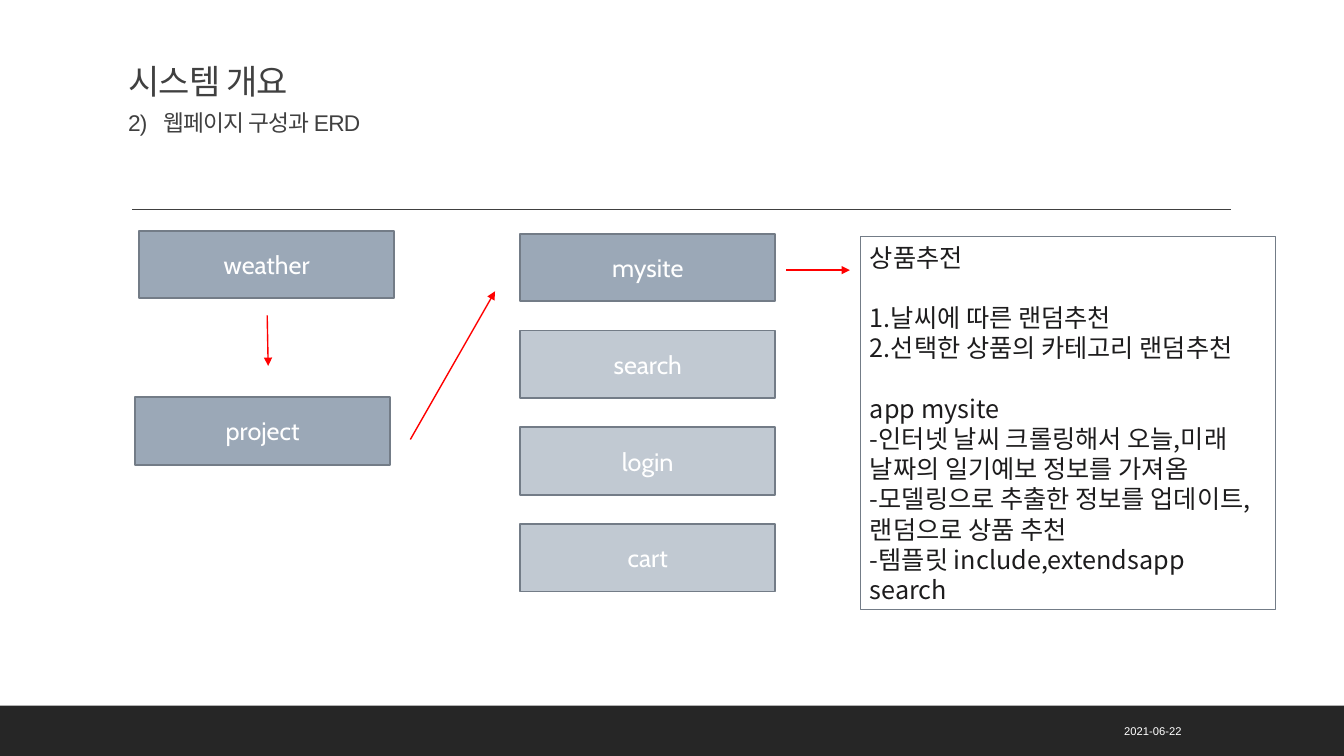
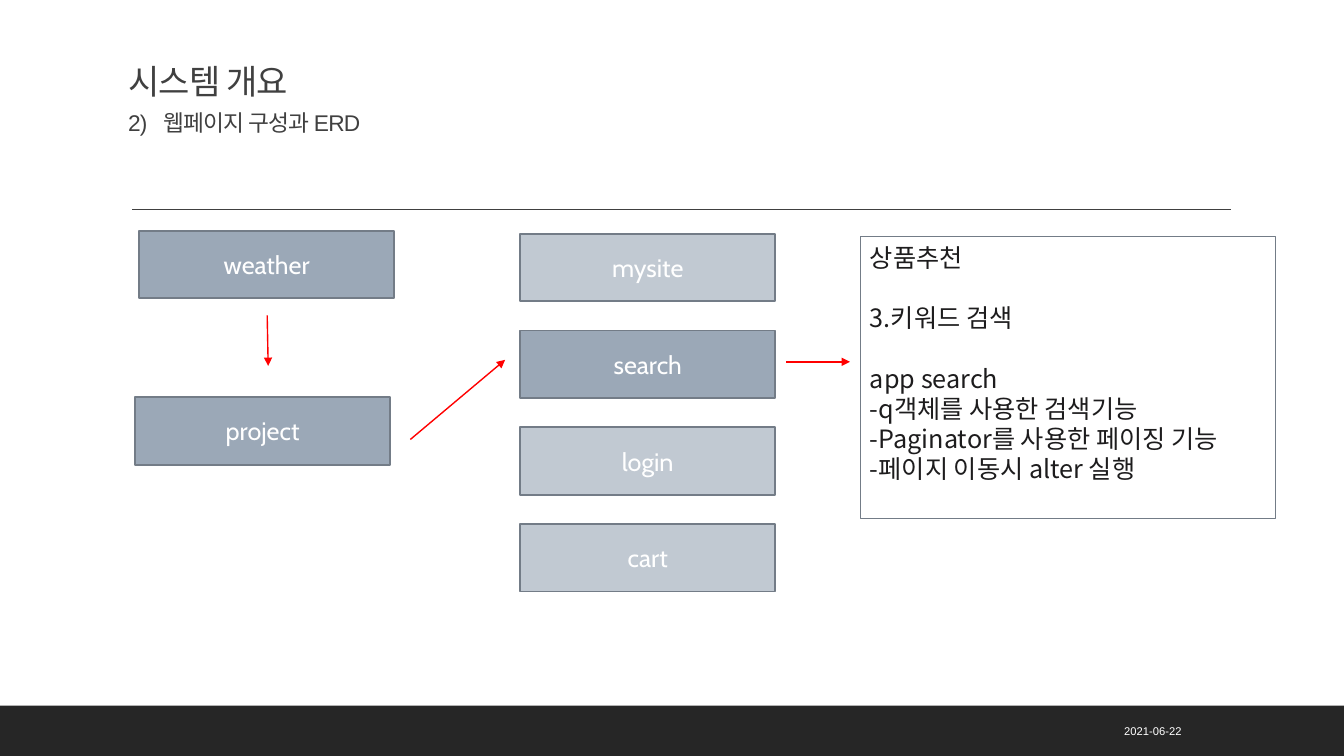
"""Build two slides showing the page structure of a web project."""
from lxml.etree import SubElement
from pptx import Presentation
from pptx.dml.color import RGBColor
from pptx.enum.shapes import MSO_CONNECTOR, MSO_SHAPE
from pptx.enum.text import MSO_ANCHOR, MSO_AUTO_SIZE, PP_ALIGN
from pptx.oxml.ns import qn
from pptx.util import Inches, Pt

DARK, BAND, WHITE, INK = "404040", "262626", "FFFFFF", "1D1C1D"
BLUE, BORDER, RED = "9BA8B7", "737C87", "FF0000"
KOREAN = "Noto Sans CJK KR"
APPS = ["mysite", "search", "login", "cart"]
APP_TOP, APP_STEP = 2.32, 0.96
LINE_HEIGHT = 21.6

PAGES = [
    {
        "active": "mysite",
        "arrow_end": (4.91, 2.89),
        "panel_arrow_y": 2.68,
        "panel_height": 3.7,
        "sections": [
            ["상품추전"],
            ["1.날씨에 따른 랜덤추천", "2.선택한 상품의 카테고리 랜덤추천"],
            [
                "app mysite",
                "-인터넷 날씨 크롤링해서 오늘,미래 날짜의 일기예보 정보를 가져옴",
                "-모델링으로 추출한 정보를 업데이트, 랜덤으로 상품 추천",
                "-템플릿 include,extendsapp search",
            ],
        ],
    },
    {
        "active": "search",
        "arrow_end": (5.01, 3.57),
        "panel_arrow_y": 3.59,
        "panel_height": 2.79,
        "sections": [
            ["상품추천"],
            ["3.키워드 검색"],
            [
                "app search",
                "-q객체를 사용한 검색기능",
                "-Paginator를 사용한 페이징 기능",
                "-페이지 이동시 alter 실행",
            ],
        ],
    },
]

color = RGBColor.from_string


def add_span(para, text, size, font, hex_color):
    span = para.add_run()
    span.text = text
    span.font.size = Pt(size)
    span.font.name = font
    span.font.color.rgb = color(hex_color)


def add_line(page, start, end, hex_color):
    points = [Inches(value) for value in (*start, *end)]
    line = page.shapes.add_connector(MSO_CONNECTOR.STRAIGHT, *points)
    line.line.color.rgb = color(hex_color)
    line.line.width = Pt(1)
    SubElement(line.element.spPr, qn("a:effectLst"))
    return line


deck = Presentation()
deck.slide_width, deck.slide_height = Inches(13.33), Inches(7.5)
layout = deck.slide_layouts[5]
pages = [deck.slides.add_slide(layout) for _ in PAGES]

band = pages[0].shapes.add_shape(
    MSO_SHAPE.RECTANGLE, 0, Inches(7), deck.slide_width, Inches(0.5))
band.shadow.inherit = False
band.fill.solid()
band.fill.fore_color.rgb = color(BAND)
band.line.fill.background()
rule = add_line(pages[0], (1.31, 2.08), (12.21, 2.08), DARK)
for shared in (band, rule):
    layout.shapes.element.append(shared.element)

for page, content in zip(pages, PAGES):
    title = page.shapes.title
    title.left, title.top = Inches(1.17), Inches(0.58)
    title.width, title.height = Inches(11), Inches(0.82)
    frame = title.text_frame
    frame.auto_size = MSO_AUTO_SIZE.NONE
    frame.vertical_anchor = MSO_ANCHOR.BOTTOM
    heading, subheading = frame.paragraphs[0], frame.add_paragraph()
    for para in (heading, subheading):
        para.alignment = PP_ALIGN.LEFT
        para.line_spacing = 0.9
    subheading.space_before = Pt(7)
    add_span(heading, "시스템 개요", 24.3, "Arial", DARK)
    add_span(subheading, "2)\t웹페이지 구성과 ERD", 16.2, "Arial", DARK)
    indent = title.element.xpath(".//a:pPr")[1]
    indent.set("marL", str(Inches(0.35)))
    indent.set("indent", str(-Inches(0.35)))
    for properties in title.element.xpath(".//a:rPr"):
        properties.set("spc", "-50")

    date = page.shapes.add_textbox(
        Inches(8.99), Inches(7.05), Inches(2.83), Inches(0.4))
    date.text_frame.word_wrap = True
    date.text_frame.vertical_anchor = MSO_ANCHOR.MIDDLE
    para = date.text_frame.paragraphs[0]
    para.alignment = PP_ALIGN.RIGHT
    add_span(para, "2021-06-22", 8, "Arial", WHITE)

    boxes = [("weather", 1.38, 2.29), ("project", 1.34, 3.94)]
    boxes += [(app, 5.16, APP_TOP + APP_STEP * row) for row, app in enumerate(APPS)]
    for name, left, top in boxes:
        box = page.shapes.add_shape(
            MSO_SHAPE.RECTANGLE, Inches(left), Inches(top), Inches(2.53), Inches(0.67))
        box.shadow.inherit = False
        box.fill.solid()
        box.fill.fore_color.rgb = color(BLUE)
        box.line.color.rgb = color(BORDER)
        box.line.width = Pt(1.25)
        if name in APPS and name != content["active"]:
            fill = box.element.spPr.find(qn("a:solidFill"))
            SubElement(fill[0], qn("a:alpha")).set("val", "61000")
        box.text_frame.vertical_anchor = MSO_ANCHOR.MIDDLE
        para = box.text_frame.paragraphs[0]
        para.alignment = PP_ALIGN.CENTER
        add_span(para, name, 18, "Cabin", WHITE)

    arrow_y = content["panel_arrow_y"]
    arrows = [
        ((2.65, 3.13), (2.66, 3.63)),
        ((4.07, 4.36), content["arrow_end"]),
        ((7.8, arrow_y), (8.43, arrow_y)),
    ]
    for start, end in arrows:
        arrow = add_line(page, start, end, RED)
        outline = arrow.element.spPr.find(qn("a:ln"))
        SubElement(outline, qn("a:tailEnd")).set("type", "triangle")

    panel = page.shapes.add_shape(
        MSO_SHAPE.RECTANGLE, Inches(8.53), Inches(2.35),
        Inches(4.12), Inches(content["panel_height"]))
    panel.shadow.inherit = False
    panel.fill.background()
    panel.line.color.rgb = color(BORDER)
    panel.line.width = Pt(0.75)
    frame = panel.text_frame
    frame.word_wrap = True
    frame.vertical_anchor = MSO_ANCHOR.TOP
    para = frame.paragraphs[0]
    for section_number, section in enumerate(content["sections"]):
        for line_number, text in enumerate(section):
            if section_number or line_number:
                para = frame.add_paragraph()
            para.alignment = PP_ALIGN.LEFT
            para.line_spacing = Pt(LINE_HEIGHT)
            if section_number and line_number == 0:
                para.space_before = Pt(LINE_HEIGHT)
            add_span(para, text, 18, KOREAN if section_number else "Arial", INK)

    for properties in page.shapes.element.xpath(".//a:r/a:rPr"):
        SubElement(properties, qn("a:ea")).set("typeface", KOREAN)

deck.save("out.pptx")
